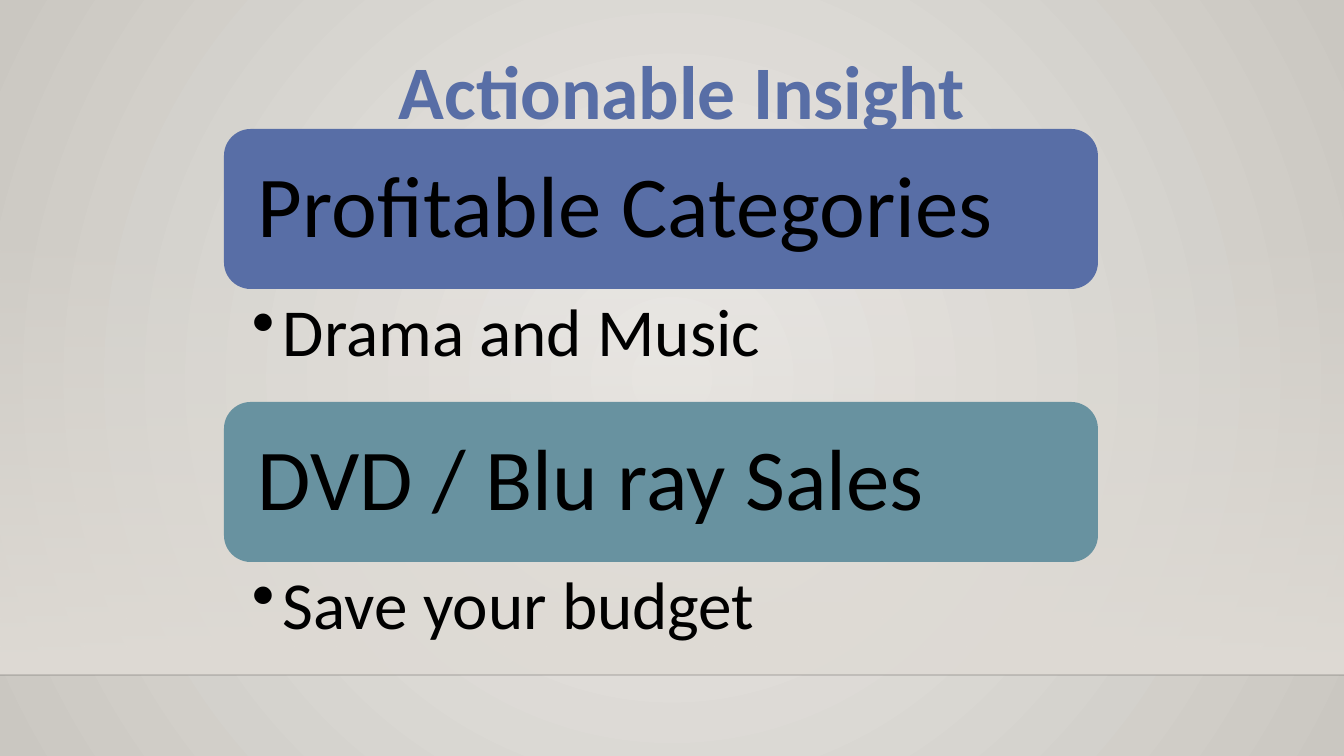
import pptx
import pptx.util
import pptx.dml.color
import pptx.enum.shapes
import pptx.enum.text
import pptx.oxml.ns
import lxml.etree

PX = 9144000 / 1008
FONT = "Calibri"
qn = pptx.oxml.ns.qn
sub = lxml.etree.SubElement
kinds = pptx.enum.shapes.MSO_SHAPE
aligns = pptx.enum.text.PP_ALIGN
anchors = pptx.enum.text.MSO_ANCHOR


def rgb(code):
    return pptx.dml.color.RGBColor.from_string(code)


def write(text, box, size, color="000000", bold=False, align=aligns.LEFT,
          anchor=anchors.TOP, pads=(10, 5, 10, 5), wrap=True, lead=None, indent=0):
    frame = deck.add_textbox(*[round(v * PX) for v in box]).text_frame
    frame.word_wrap = wrap
    frame.vertical_anchor = anchor
    (frame.margin_left, frame.margin_top,
     frame.margin_right, frame.margin_bottom) = [round(v * PX) for v in pads]
    para = frame.paragraphs[0]
    para.alignment = align
    para.line_spacing = lead
    if indent:
        props = para._p.get_or_add_pPr()
        props.set("marL", str(round(indent * PX)))
        props.set("indent", str(round(-indent * PX)))
        sub(props, qn("a:buChar"), char="•")
    run = para.add_run()
    run.text = text
    run.font.name = FONT
    run.font.size = pptx.util.Pt(size)
    run.font.bold = bold
    run.font.color.rgb = rgb(color)


show = pptx.Presentation()
show.slide_width = round(1344 * PX)
show.slide_height = round(756 * PX)
slide = show.slides.add_slide(show.slide_layouts[6])
deck = slide.shapes

# Background: light centre, darker rim
back = slide.background.fill
back.gradient()
for stop, code in zip(back.gradient_stops, ("ECEAE7", "CAC7C1")):
    stop.color.rgb = rgb(code)
grad = next(slide._element.iter(qn("a:gradFill")))
lin = grad.find(qn("a:lin"))
ring = lxml.etree.Element(qn("a:path"), path="circle")
sub(ring, qn("a:fillToRect"), l="50000", t="50000", r="50000", b="50000")
grad.replace(lin, ring)

# Wall that fades in towards the floor
wall = deck.add_shape(kinds.RECTANGLE, 0, round(223 * PX),
                      show.slide_width, round(452 * PX))
wall.shadow.inherit = False
wall.line.fill.background()
wall.fill.gradient()
wall.fill.gradient_angle = 270
for stop in wall.fill.gradient_stops:
    stop.color.rgb = rgb("DFDBD5")
tint = next(wall._element.spPr.iter(qn("a:srgbClr")))
sub(tint, qn("a:alpha"), val="0")

# Floor line
floor = deck.add_connector(pptx.enum.shapes.MSO_CONNECTOR.STRAIGHT,
                           0, round(675 * PX), show.slide_width, round(675 * PX))
floor.line.width = pptx.util.Pt(1)
floor.line.color.rgb = rgb("000001")
tint = next(floor._element.spPr.iter(qn("a:srgbClr")))
sub(tint, qn("a:alpha"), val="20000")
sub(floor._element.spPr, qn("a:effectLst"))

# Title
write("Actionable Insight ", (346, 39, 689, 102), 54, color="586EA6", bold=True,
      align=aligns.CENTER, wrap=False)

# Insights: coloured heading with one bullet below
parts = [("Profitable Categories", "Drama and Music", "586EA6"),
         ("DVD / Blu ray Sales", "Save your budget", "6892A0")]
for i, (head, note, code) in enumerate(parts):
    top = 129 + 273 * i
    card = deck.add_shape(kinds.ROUNDED_RECTANGLE,
                          *[round(v * PX) for v in (224, top, 874, 160)])
    card.shadow.inherit = False
    card.fill.solid()
    card.fill.fore_color.rgb = rgb(code)
    card.line.fill.background()
    write(head, (232, top + 8, 858, 144), 62, anchor=anchors.MIDDLE,
          pads=(26, 26, 26, 26), lead=0.9)
    write(note, (224, top + 160, 874, 113), 48, pads=(28, 9, 48, 9),
          lead=0.9, indent=31)

show.save("out.pptx")
